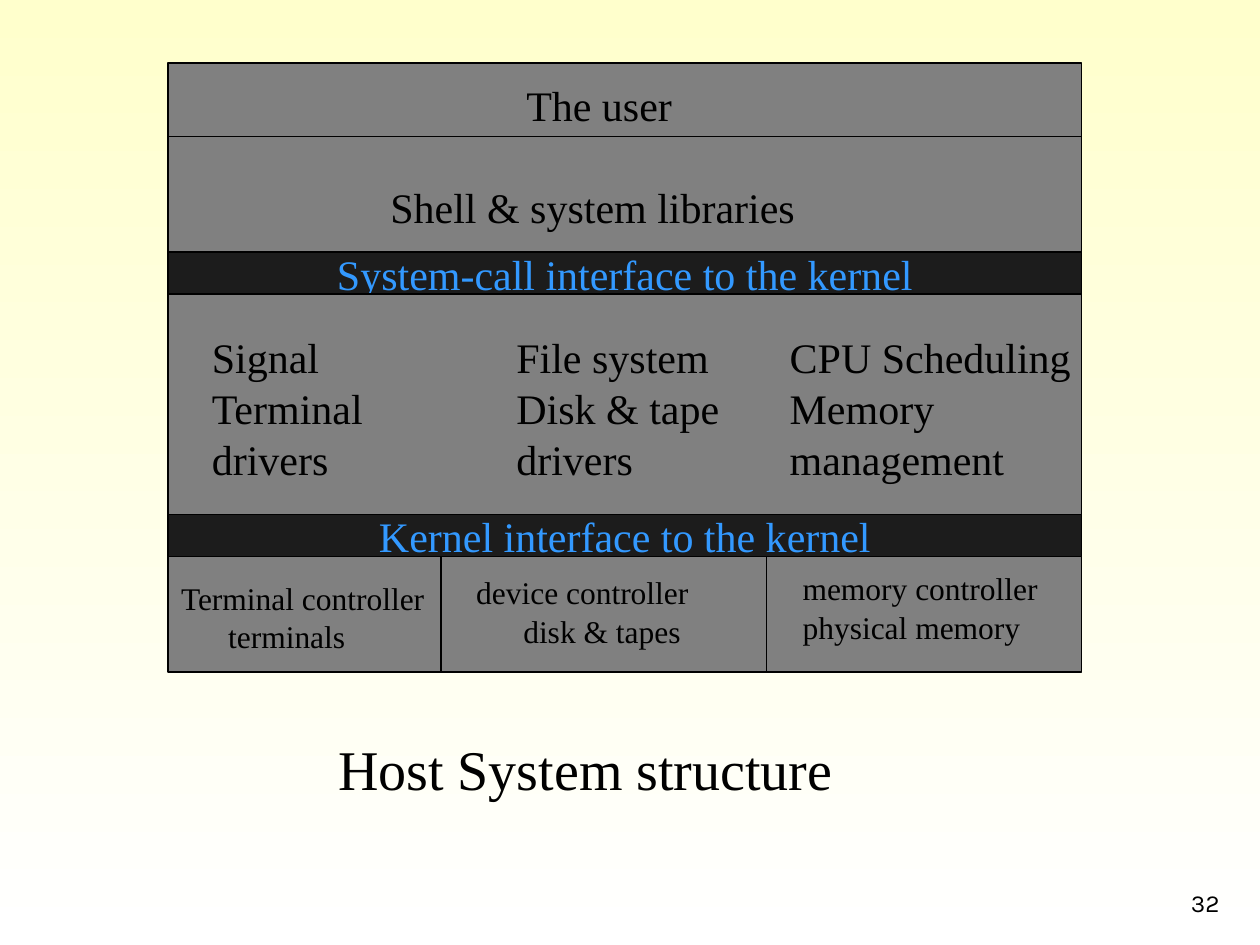
from lxml import etree
from pptx import Presentation
from pptx.dml.color import RGBColor
from pptx.enum.shapes import MSO_CONNECTOR, MSO_SHAPE
from pptx.enum.text import MSO_ANCHOR, MSO_AUTO_SIZE, PP_ALIGN
from pptx.oxml.ns import qn
from pptx.util import Cm, Pt

RECT, STRAIGHT = MSO_SHAPE.RECTANGLE, MSO_CONNECTOR.STRAIGHT
TOP, MIDDLE, BOTTOM = MSO_ANCHOR.TOP, MSO_ANCHOR.MIDDLE, MSO_ANCHOR.BOTTOM
LEFT, CENTER, RIGHT = PP_ALIGN.LEFT, PP_ALIGN.CENTER, PP_ALIGN.RIGHT
NO_FIT = MSO_AUTO_SIZE.NONE

SERIF, SANS = "Times New Roman", "Karla"
BLACK, GREY, DARK, BLUE = "000000", "808080", "1C1C1C", "3399FF"
BACKGROUND = ("FFFFCC", "FFFFFF")
LINE_RATIO = 1.21

X, W, Y = 3.39, 18.42, 1.27
USER_LINE = 2.75
LAYERS = [
    (3.81, GREY, ""),
    (0.85, DARK, "System-call interface to the kernel"),
    (4.44, GREY, ""),
    (0.85, DARK, "Kernel interface to the kernel"),
    (2.33, GREY, ""),
]
DIVIDERS = [8.89, 15.45]

KERNEL_Y = 6.56
KERNEL = [
    (4.02, 3.61, ["Signal", "Terminal", "drivers"]),
    (10.16, 4.6, ["File system", "Disk & tape", "drivers"]),
    (15.67, 6.17, ["CPU Scheduling", "Memory", "management"]),
]
HARDWARE = [
    (3.4, 11.54, 5.46, ["Terminal controller", "terminals"], 0.95),
    (9.35, 11.43, 4.78, ["device controller", "disk & tapes"], 0.95),
    (15.93, 11.35, 5.23, ["memory controller", "physical memory"], 0),
]


def rgb(value):
    return RGBColor.from_string(value)


def write(shape, lines, size, color=BLACK, align=LEFT, anchor=TOP,
          wrap=False, indents=(), gap=0, font=SERIF):
    tf = shape.text_frame
    tf.auto_size = NO_FIT
    tf.word_wrap = wrap
    tf.vertical_anchor = anchor
    for i, line in enumerate(lines):
        p = tf.add_paragraph() if i else tf.paragraphs[0]
        p.alignment = align
        if font == SERIF:
            p.line_spacing = Pt(size * LINE_RATIO)
        if i and gap:
            p.space_before = Pt(gap)
        if indents and indents[i]:
            p._p.get_or_add_pPr().set("marL", str(Cm(indents[i])))
        r = p.add_run()
        r.text = line
        r.font.name = font
        r.font.size = Pt(size)
        r.font.color.rgb = rgb(color)


def text(s, x, y, w, h, lines, size, **style):
    box = s.shapes.add_textbox(Cm(x), Cm(y), Cm(w), Cm(h))
    write(box, lines, size, **style)


def layer(s, y, h, fill, label):
    sp = s.shapes.add_shape(RECT, Cm(X), Cm(y), Cm(W), Cm(h))
    sp.shadow.inherit = False
    sp.fill.solid()
    sp.fill.fore_color.rgb = rgb(fill)
    sp.line.color.rgb = rgb(BLACK)
    sp.line.width = Pt(0.75)
    if label:
        write(sp, [label], 24, color=BLUE, align=CENTER, anchor=MIDDLE)


def rule(s, x1, y1, x2, y2):
    line = s.shapes.add_connector(STRAIGHT, Cm(x1), Cm(y1), Cm(x2), Cm(y2))
    line.line.color.rgb = rgb(BLACK)
    line.line.width = Pt(0.75)
    etree.SubElement(line._element.spPr, qn("a:effectLst"))


def main():
    prs = Presentation()
    prs.slide_width, prs.slide_height = Cm(25.4), Cm(19.05)
    s = prs.slides.add_slide(prs.slide_layouts[5])

    fill = s.background.fill
    fill.gradient()
    fill.gradient_angle = 270
    for stop, color in zip(fill.gradient_stops, BACKGROUND):
        stop.color.rgb = rgb(color)

    y = Y
    for h, color, label in LAYERS:
        layer(s, y, h, color, label)
        y += h
    rule(s, X, USER_LINE, X + W, USER_LINE)
    for x in DIVIDERS:
        rule(s, x, y - LAYERS[-1][0], x, y)

    text(s, 4.02, 1.48, 17.58, 3.3, ["The user", "Shell & system libraries"],
         24, wrap=True, indents=(6.34, 3.6), gap=29)
    for x, w, lines in KERNEL:
        text(s, x, KERNEL_Y, w, 3.3, lines, 24)
    for x, top, w, lines, indent in HARDWARE:
        text(s, x, top, w, 1.78, lines, 18, indents=(0, indent))

    title = s.shapes.title
    title.left, title.top = Cm(6.56), Cm(14.66)
    title.width, title.height = Cm(11.18), Cm(1.63)
    write(title, ["Host System structure"], 32)
    text(s, 19.56, 17.35, 5.28, 1.27, ["32"], 14, align=RIGHT,
         anchor=BOTTOM, wrap=True, font=SANS)

    prs.save("out.pptx")


if __name__ == "__main__":
    main()
